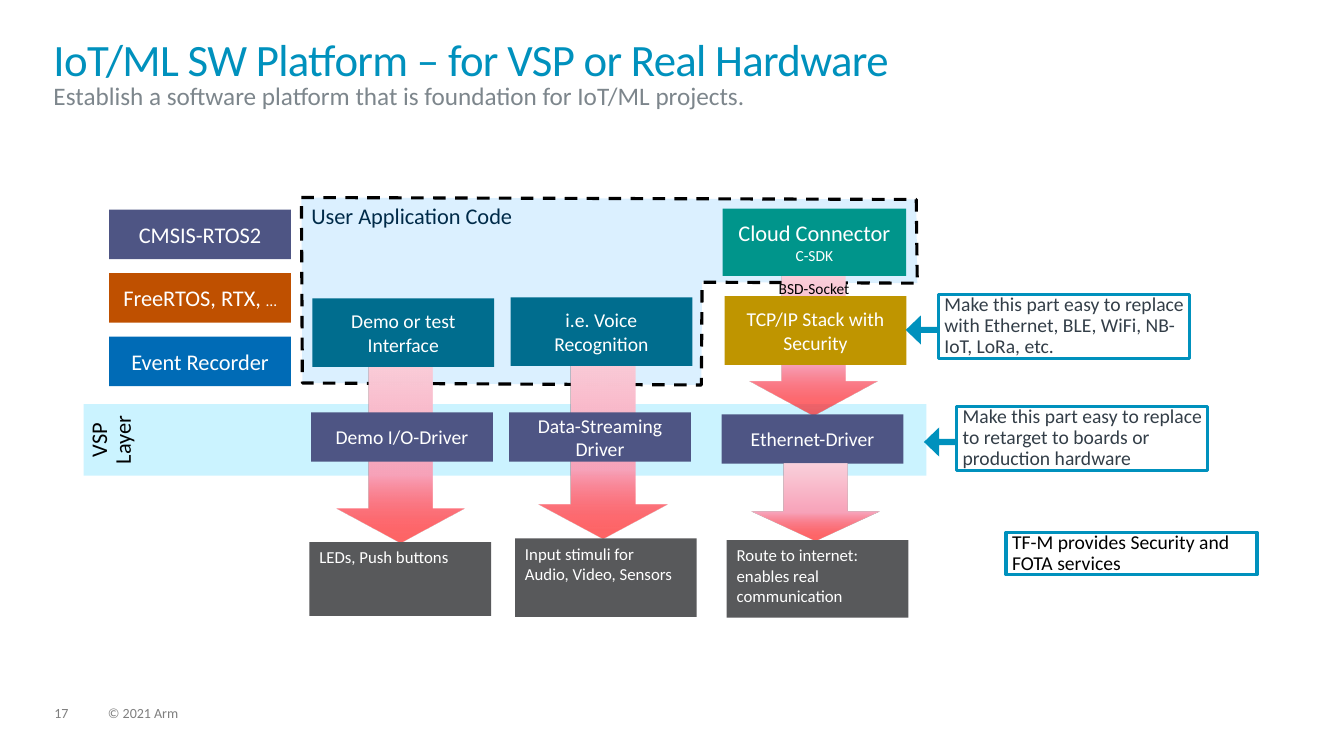
from pptx import Presentation
from pptx.dml.color import RGBColor
from pptx.enum.dml import MSO_LINE
from pptx.enum.shapes import MSO_SHAPE as Shape
from pptx.enum.text import MSO_ANCHOR as Anchor, MSO_AUTO_SIZE as AutoSize, PP_ALIGN as Align
from pptx.oxml import parse_xml
from pptx.oxml.ns import nsdecls, qn
from pptx.util import Pt

FONT = "Calibri"
WHITE, BLACK, ACCENT_BLUE, GREY = "FFFFFF", "000000", "0091BD", "7F7F7F"
INDIGO, PETROL, SLATE = "4E5584", "006D8E", "58595B"
BLOCK_WIDTH, DRIVER_HEIGHT = 129.8, 35.3
WIDE_INSETS, NARROW_INSETS, NO_INSETS = (7.2, 3.6, 7.2, 3.6), (2.9, 3.6, 2.9, 3.6), (0, 0, 0, 0)


def rgb(hex_code):
    return RGBColor.from_string(hex_code)


def write(shape, text, size, color, align=Align.LEFT, anchor=Anchor.TOP,
          insets=NO_INSETS, spacing=None):
    """Fill the shape with text; a line feed starts a paragraph, a vertical tab a line."""
    frame = shape.text_frame
    frame.word_wrap = True
    frame.auto_size = AutoSize.NONE
    frame.vertical_anchor = anchor
    frame.margin_left, frame.margin_top, frame.margin_right, frame.margin_bottom = map(Pt, insets)
    frame.text = text
    for paragraph in frame.paragraphs:
        paragraph.alignment = align
        paragraph.line_spacing = spacing
        paragraph.font.name = FONT
        paragraph.font.size = Pt(size)
        paragraph.font.color.rgb = rgb(color)
    return frame.paragraphs[0]


def place(shape, box):
    shape.left, shape.top, shape.width, shape.height = map(Pt, box)


def set_alpha(shape, percent):
    color = shape.fill._xPr.find(qn("a:solidFill"))[0]
    color.append(parse_xml(f'<a:alpha {nsdecls("a")} val="{percent * 1000}"/>'))


def add_block(slide, box, fill=None, kind=Shape.RECTANGLE):
    block = slide.shapes.add_shape(kind, *map(Pt, box))
    block.shadow.inherit = False
    block.line.fill.background()
    if fill:
        block.fill.solid()
        block.fill.fore_color.rgb = rgb(fill)
    else:
        block.fill.background()
    return block


def add_label(slide, box, text, size, color, align=Align.LEFT, spacing=0.9):
    return write(slide.shapes.add_textbox(*map(Pt, box)), text, size, color, align, spacing=spacing)


def add_component(slide, box, text, fill, size=14, insets=WIDE_INSETS):
    return write(add_block(slide, box, fill), text, size, WHITE, Align.CENTER, Anchor.MIDDLE, insets)


def add_driver(slide, left, top, text):
    add_component(slide, (left, top, BLOCK_WIDTH, DRIVER_HEIGHT), text, INDIGO, insets=NARROW_INSETS)


def add_hardware(slide, left, top, height, text):
    block = add_block(slide, (left, top, BLOCK_WIDTH, height), SLATE)
    write(block, text, 12, WHITE, insets=WIDE_INSETS)


def add_flow_arrow(slide, left, top, height, head=0.27):
    arrow = add_block(slide, (left, top, 91.4, height), kind=Shape.DOWN_ARROW)
    arrow.adjustments[0], arrow.adjustments[1] = 0.5, head
    properties = arrow._element.spPr
    properties.replace(properties.find(qn("a:noFill")), parse_xml(
        f'<a:gradFill {nsdecls("a")} rotWithShape="1"><a:gsLst>'
        '<a:gs pos="0"><a:srgbClr val="FBD1DC"/></a:gs>'
        '<a:gs pos="64000"><a:srgbClr val="F8A2B9"/></a:gs>'
        '<a:gs pos="100000"><a:srgbClr val="FF0000"><a:alpha val="60000"/></a:srgbClr></a:gs>'
        '</a:gsLst><a:lin ang="5400000" scaled="0"/></a:gradFill>'))


def header(slide, box):
    left, top, width, _ = box
    title, subtitle = slide.placeholders
    place(title, (left, top, width, 40.3))
    heading = write(title, "IoT/ML SW Platform – for VSP or Real Hardware", 32, ACCENT_BLUE, spacing=0.85)
    heading.runs[0]._r.get_or_add_rPr().set("spc", "-50")

    place(subtitle, (left, top + 28.8, width, 27.4))
    subtitle.text_frame.text = ""
    goal = write(subtitle, "Establish a software platform that is foundation for IoT/ML projects.",
                 18, "7D868C")
    goal.space_before = Pt(0)
    properties = goal._p.get_or_add_pPr()
    properties.set("marL", "0")
    properties.set("indent", "0")
    properties.find(qn("a:defRPr")).addprevious(parse_xml(f'<a:buNone {nsdecls("a")}/>'))


def footer(slide, box):
    left, top, width, height = box
    add_label(slide, (left, top, 24.5, height), "17", 10, GREY)
    add_label(slide, (left + 38.2, top, width - 38.2, height), "© 2021 Arm", 10, GREY)


def user_code_area(slide, box):
    left, top, width, height = box
    notch = 286.2
    outline = [(width - 0.7, 1.4), (width, 61.2), (notch, 60.5),
               (notch - 0.5, height), (0.7, height - 1.4)]
    builder = slide.shapes.build_freeform(0, 0)
    builder.add_line_segments([(Pt(x), Pt(y)) for x, y in outline], close=True)
    area = builder.convert_to_shape(Pt(left), Pt(top))
    area.shadow.inherit = False
    area.fill.solid()
    area.fill.fore_color.rgb = rgb("D3EDFF")
    set_alpha(area, 80)
    area.line.color.rgb = rgb(BLACK)
    area.line.width = Pt(2.25)
    area.line.dash_style = MSO_LINE.DASH
    write(area, "User Application Code", 16, "002B49", insets=WIDE_INSETS)


def platform_layer(slide, box):
    layer = add_block(slide, box, "7FE1FF")
    set_alpha(layer, 40)
    write(layer, "VSP\vLayer", 16, BLACK, Align.CENTER, insets=(2.9, 3.6, 7.2, 3.6), spacing=Pt(17))
    layer.text_frame._txBody.bodyPr.set("vert", "vert270")


def rtos_column(slide, box):
    left, top, width, height = box
    step = (height - DRIVER_HEIGHT) / 2
    rows = [("CMSIS-RTOS2", INDIGO), ("FreeRTOS, RTX, ", "BF5000"), ("Event Recorder", "006BB6")]
    for row, (name, fill) in enumerate(rows):
        entry = add_component(slide, (left, top + row * step, width, DRIVER_HEIGHT), name, fill, 16)
        if name.startswith("FreeRTOS"):
            more = entry.add_run()
            more.text = "…"
            more.font.size = Pt(11)


def io_column(slide, box, application, driver, hardware, arrow_top, hardware_left):
    """Application block over a driver, with one arrow running down to the hardware."""
    left, top, width, height = box
    hardware_top = top + height - 56 if hardware_left > 0 else top + height - 52.6
    add_flow_arrow(slide, left + 20.4 - 3 * (left < 300), top + arrow_top, hardware_top - top - arrow_top)
    add_hardware(slide, left + hardware_left, hardware_top, top + height - hardware_top, hardware)
    add_driver(slide, left - 1, 294.5, driver)
    add_component(slide, (left, top, width, 49), application, PETROL)


def network_column(slide, box):
    left, top, width, height = box
    add_flow_arrow(slide, left + 19.4, top + 47.5, 100.1)
    add_label(slide, (left + 3, top + 51.5, 124.6, 15.1), "BSD-Socket", 11, BLACK, Align.CENTER)
    add_driver(slide, left - 0.7, top + 146.9, "Ethernet-Driver")
    add_flow_arrow(slide, left + 20.9, top + 182.2, 54.7, 0.382)
    add_component(slide, (left + 1.4, top + 62.6, BLOCK_WIDTH, 49), "TCP/IP Stack with Security", "BF9500")
    cloud = add_component(slide, (left, top, width, 48.2), "Cloud Connector\vC-SDK", "00958B", 16)
    cloud.runs[1].font.size = Pt(11)
    add_hardware(slide, left + 2.9, top + 236.9, height - 236.9,
                 "Route to internet: enables real communication")


def callout(slide, box, text, color="333E48", pointer=True):
    left, top = box[:2]
    if pointer:
        arrow = add_block(slide, (left - 22.3, top + 14, 20.9, 23), ACCENT_BLUE, Shape.DOWN_ARROW)
        arrow.adjustments[0], arrow.adjustments[1] = 0.209, 0.521
        arrow.rotation = 90
    frame = add_block(slide, box)
    frame.line.color.rgb = rgb(ACCENT_BLUE)
    frame.line.width = Pt(2.25)
    write(frame, text, 14, color, insets=(4.3, 0, 0, 0), spacing=0.9)


def main():
    deck = Presentation()
    deck.slide_width, deck.slide_height = Pt(960), Pt(540)
    slide = deck.slides.add_slide(deck.slide_layouts[1])
    header(slide, (38.2, 28.8, 884.2, 56.2))
    footer(slide, (38.9, 504.7, 403.2, 10.8))
    user_code_area(slide, (215.3, 141.1, 439.9, 133.9))
    platform_layer(slide, (59.8, 288.7, 601.9, 51.1))
    rtos_column(slide, (78, 149.8, BLOCK_WIDTH, 126))
    io_column(slide, (223.2, 213.1, BLOCK_WIDTH, 226.8), "Demo or test\vInterface",
              "Demo I/O-Driver", "LEDs, Push buttons", 41, -2.2)
    io_column(slide, (364.7, 212.4, BLOCK_WIDTH, 228.2), "i.e. Voice\vRecognition",
              "Data-Streaming\vDriver", "Input stimuli for\nAudio, Video, Sensors", 36.7, 3.2)
    network_column(slide, (516.2, 149, 131, 292.3))
    callout(slide, (670.3, 210.2, 179.3, 46.1),
            "Make this part easy to replace with Ethernet, BLE, WiFi, NB-IoT, LoRa, etc.")
    callout(slide, (683.3, 290.2, 179.3, 46.1),
            "Make this part easy to replace to retarget to boards or production hardware")
    callout(slide, (718.6, 380.2, 179.3, 30.2),
            "TF-M provides Security and FOTA services", BLACK, pointer=False)
    deck.save("out.pptx")


if __name__ == "__main__":
    main()
